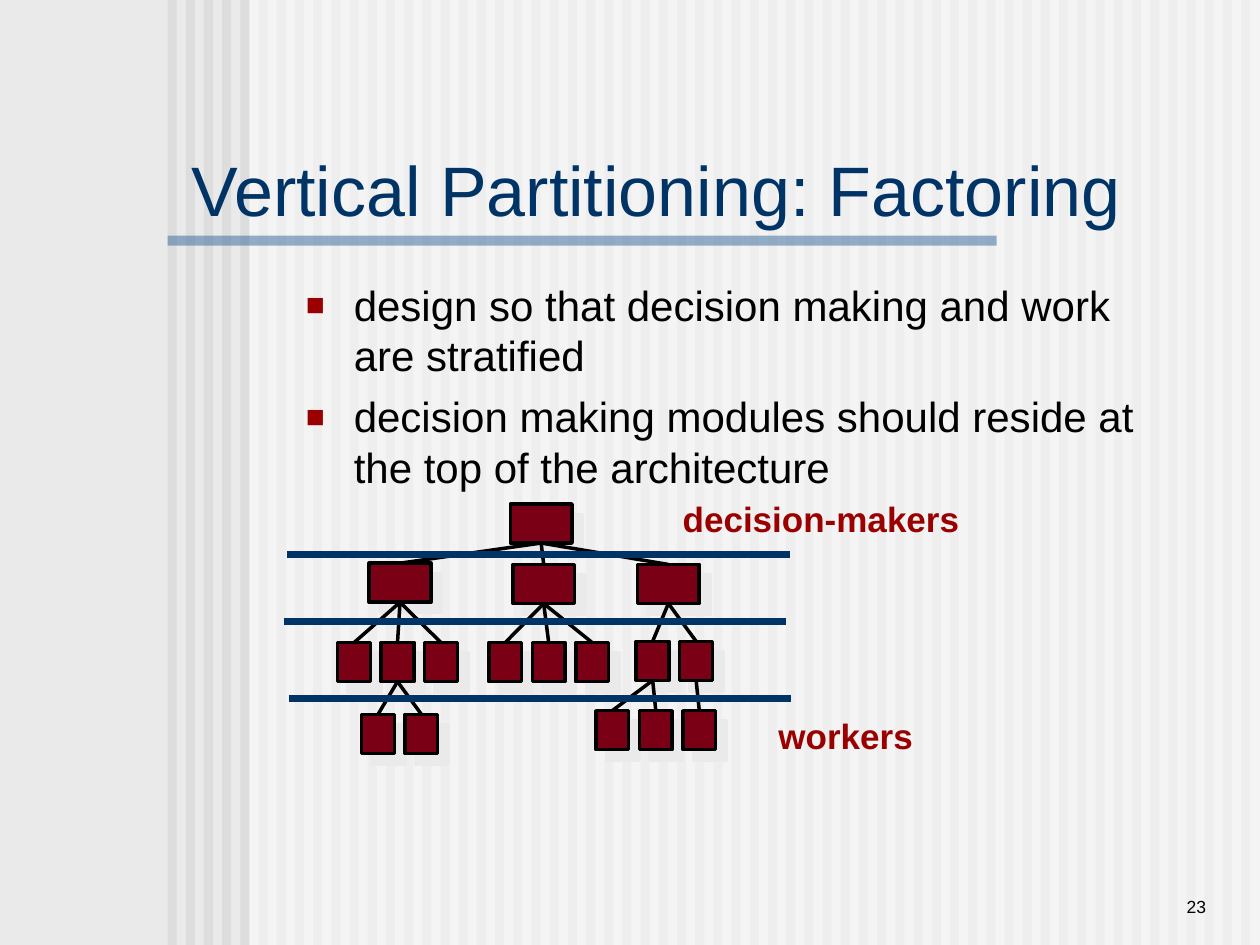
import lxml.etree
import pptx
import pptx.dml.color
import pptx.enum.shapes
import pptx.enum.text
import pptx.oxml.ns
import pptx.util

COLORS = {
    "paper": "EAEAEA", "stripe": "DDDDDD", "veil": "FFFFFF", "rule": "336699",
    "navy": "003366", "black": "000000", "red": "9A0000", "module": "790015",
}
COLUMNS, ROWS = 100, 75
ALIGN = pptx.enum.text.PP_ALIGN
ANCHOR = pptx.enum.text.MSO_ANCHOR
TOP, BOTTOM = 0, 2


def add_xml(parent, tag, **attributes):
    return lxml.etree.SubElement(parent, pptx.oxml.ns.qn(tag), attributes)


def rgb(name):
    return pptx.dml.color.RGBColor.from_string(COLORS[name])


class Painter:
    """Draws on one slide; lengths are columns and rows of a 100 x 75 grid."""

    font = "Arial"

    def __init__(self, deck):
        self.column = deck.slide_width / COLUMNS
        self.row = deck.slide_height / ROWS
        self.page = deck.slides.add_slide(deck.slide_layouts[5])
        self.shapes = self.page.shapes
        self.page.background.fill.solid()
        self.page.background.fill.fore_color.rgb = rgb("paper")

    def area(self, left, top, width, height):
        return (round(left * self.column), round(top * self.row),
                round(width * self.column), round(height * self.row))

    def panel(self, place, color, opacity=100):
        box = self.shapes.add_shape(
            pptx.enum.shapes.MSO_SHAPE.RECTANGLE, *self.area(*place))
        box.fill.solid()
        box.fill.fore_color.rgb = rgb(color)
        box.line.fill.background()
        box.shadow.inherit = False
        if opacity < 100:
            tint = box._element.spPr.find(".//" + pptx.oxml.ns.qn("a:srgbClr"))
            add_xml(tint, "a:alpha", val=str(opacity * 1000))
        return box

    def module(self, left, top, width):
        box = self.panel((left, top, width, 3.1), "module")
        box.line.color.rgb = rgb("black")
        box.line.width = pptx.util.Pt(2)
        effects = box._element.spPr.find(pptx.oxml.ns.qn("a:effectLst"))
        shadow = add_xml(effects, "a:outerShdw", dist=str(pptx.util.Pt(8.5)),
                         dir=str(45 * 60000), algn="ctr", rotWithShape="0")
        add_xml(shadow, "a:srgbClr", val=COLORS["paper"])
        return box

    def line(self, start, end, color, weight):
        x1, y1, x2, y2 = self.area(*start, *end)
        line = self.shapes.add_connector(
            pptx.enum.shapes.MSO_CONNECTOR.STRAIGHT, x1, y1, x2, y2)
        line.line.color.rgb = rgb(color)
        line.line.width = pptx.util.Pt(weight)
        add_xml(line._element.spPr, "a:effectLst")
        return line

    def link(self, parent, child):
        line = self.line((0, 0), (0, 0), "black", 2)
        line.begin_connect(parent, BOTTOM)
        line.end_connect(child, TOP)

    def fill_text(self, box, lines, size, color, bold=False, align=ALIGN.LEFT,
                  anchor=ANCHOR.TOP, wrap=True):
        frame = box.text_frame
        frame.text = "\n".join(lines)
        frame.word_wrap = wrap
        frame.auto_size = pptx.enum.text.MSO_AUTO_SIZE.NONE
        frame.vertical_anchor = anchor
        for para in frame.paragraphs:
            para.alignment = align
            for span in para.runs:
                span.font.name = self.font
                span.font.size = pptx.util.Pt(size)
                span.font.bold = bold
                span.font.color.rgb = rgb(color)
        return frame

    def text(self, place, lines, size, color, **style):
        box = self.shapes.add_textbox(*self.area(*place))
        return self.fill_text(box, lines, size, color, **style)

    def title(self, place, words, size, color):
        box = self.shapes.title
        box.left, box.top, box.width, box.height = self.area(*place)
        self.fill_text(box, [words], size, color, anchor=ANCHOR.MIDDLE)
        # Bring the title in front of the backdrop
        self.shapes._spTree.append(box._element)

    def bullets(self, place, lines, size, color, mark):
        indent = pptx.util.Inches(0.38)
        for para in self.text(place, lines, size, color).paragraphs:
            para.space_before = pptx.util.Pt(6)
            props = para._p.get_or_add_pPr()
            props.set("marL", str(indent))
            props.set("indent", str(-indent))
            add_xml(add_xml(props, "a:buClr"), "a:srgbClr", val=COLORS[mark])
            add_xml(props, "a:buSzPct", val="75000")
            add_xml(props, "a:buFont", typeface=self.font)
            add_xml(props, "a:buChar", char="■")


def draw_backdrop(painter):
    for index in range(60):
        painter.panel((13.3 + index * 1.444, 0, 0.72, ROWS), "stripe")
    painter.panel((19.8, 0, 80.2, ROWS), "veil", opacity=50)
    painter.panel((13.3, 18.7, 65.8, 0.8), "rule", opacity=50)


def draw_tree(painter):
    wide, narrow, pitch = 4.9, 2.6, 3.45

    def siblings(left, top, count):
        return [painter.module(left + index * pitch, top, narrow)
                for index in range(count)]

    # Modules, level by level
    root = painter.module(40.5, 40, wide)
    managers = [painter.module(left, top, wide)
                for left, top in ((29.3, 44.7), (40.7, 44.8), (50.6, 44.8))]
    left_team = siblings(26.8, 51, 3)
    middle_team = siblings(38.8, 51, 3)
    right_team = siblings(50.5, 50.9, 2)
    right_workers = siblings(47.3, 56.4, 3)
    left_workers = siblings(28.7, 56.7, 2)

    # Links from each parent to its children
    families = [
        (root, managers),
        (managers[0], left_team),
        (managers[1], middle_team),
        (managers[2], right_team),
        (right_team[0], right_workers[:2]),
        (right_team[1], right_workers[2:]),
        (left_team[1], left_workers),
    ]
    for parent, children in families:
        for child in children:
            painter.link(parent, child)

    # Lines between the strata
    for left, top in ((22.5, 49.3), (22.9, 55.4), (22.8, 44)):
        painter.line((left, top), (left + 39.9, top), "navy", 4)


def main():
    deck = pptx.Presentation()
    deck.slide_width = pptx.util.Inches(10)
    deck.slide_height = pptx.util.Inches(7.5)
    painter = Painter(deck)

    draw_backdrop(painter)

    # Slide number, title and points
    painter.text((82.5, 68.3, 14.2, 5), ["23"], 10, "black",
                 align=ALIGN.RIGHT, anchor=ANCHOR.BOTTOM)
    painter.title((14.2, 11.7, 78.3, 6.6),
                  "Vertical Partitioning: Factoring", 40, "navy")
    painter.bullets((23.3, 21.7, 68.4, 19.7), [
        "design so that decision making and work are stratified",
        "decision making modules should reside at the top of the architecture",
    ], 24, "black", "red")

    draw_tree(painter)

    # Labels of the top and bottom strata
    painter.text((60.8, 56.2, 12.7, 4.3), ["workers"], 20, "red",
                 bold=True, wrap=False)
    painter.text((53.2, 39, 24, 4.3), ["decision-makers"], 20, "red",
                 bold=True, wrap=False)

    deck.save("out.pptx")


if __name__ == "__main__":
    main()
